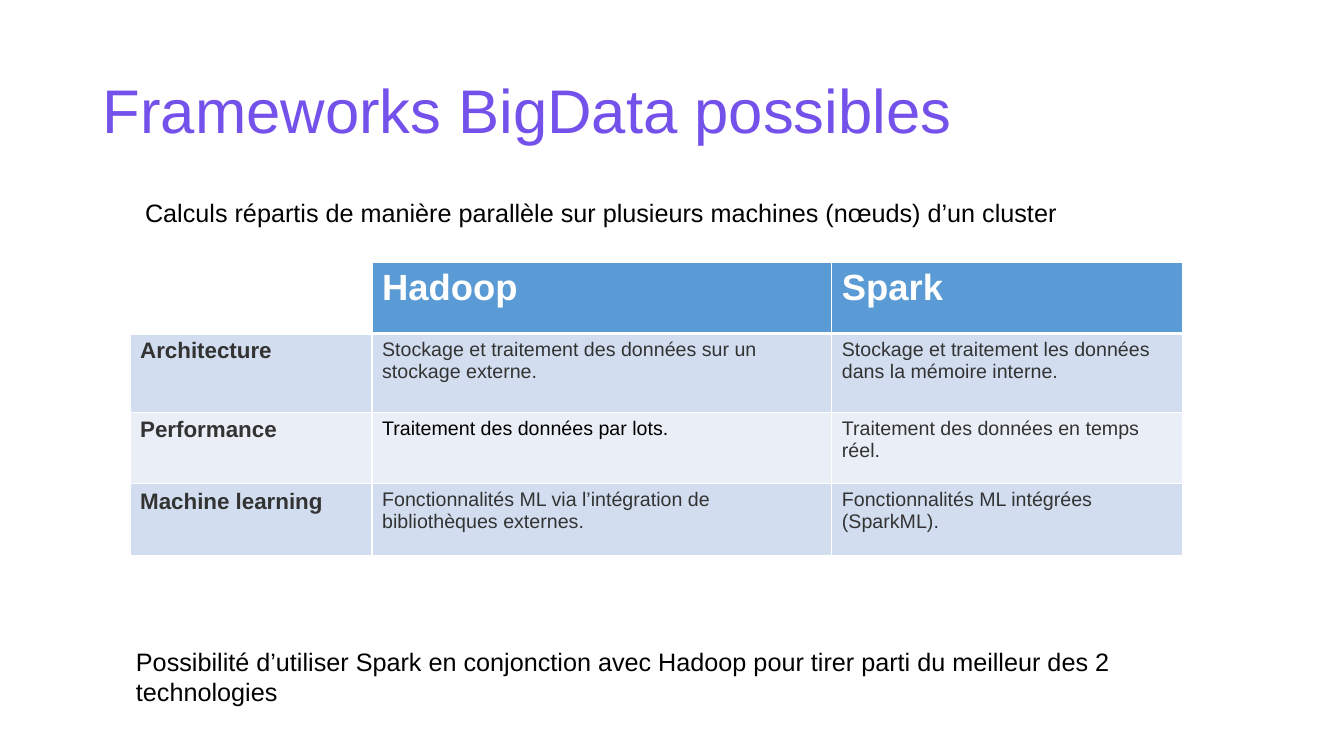
from lxml.etree import SubElement
from pptx import Presentation
from pptx.dml.color import RGBColor
from pptx.enum.text import MSO_ANCHOR as Anchor
from pptx.oxml.ns import qn
from pptx.util import Inches, Pt

# Content
TITLE = "Frameworks BigData possibles"
INTRO = "Calculs répartis de manière parallèle sur plusieurs machines (nœuds) d’un cluster"
CONCLUSION = ("Possibilité d’utiliser Spark en conjonction avec Hadoop "
              "pour tirer parti du meilleur des 2 technologies")
COMPARISON = [
    ("", "Hadoop", "Spark"),
    ("Architecture",
     "Stockage et traitement des données sur un stockage externe.",
     "Stockage et traitement les données dans la mémoire interne."),
    ("Performance",
     "Traitement des données par lots.",
     "Traitement des données en temps réel."),
    ("Machine learning",
     "Fonctionnalités ML via l’intégration de bibliothèques externes.",
     "Fonctionnalités ML intégrées (SparkML)."),
]
BLACK_CELL = (2, 1)

# Layout, in inches
TITLE_BOX = (0.92, 0.4, 11.5, 1.45)
INTRO_BOX = (1.34, 1.91, 10.78, 0.4)
CONCLUSION_BOX = (1.25, 6.36, 10.68, 0.7)
TABLE_ORIGIN = (1.29, 2.6)
COLUMN_WIDTHS = (2.4, 4.56, 3.48)
ROW_HEIGHTS = (0.71, 0.78, 0.71, 0.71)


class Theme:
    font = "Arial"
    title, text, white = "7451EB", "000000", "FFFFFF"
    cell_text, header = "333333", "5B9BD5"
    bands = ("EAEFF7", "D2DEEF")
    title_size, body_size = 44, 18
    header_size, label_size, cell_size = 26, 16, 14
    thin, thick = 1, 3


def style(paragraph, size, color, bold=False):
    font = paragraph.font
    font.name, font.size, font.bold = Theme.font, Pt(size), bold
    font.color.rgb = RGBColor.from_string(color)


def add_text(slide, text, box, size, color, anchor=Anchor.TOP, spacing=None):
    frame = slide.shapes.add_textbox(*map(Inches, box)).text_frame
    frame.word_wrap = True
    frame.vertical_anchor = anchor
    paragraph = frame.paragraphs[0]
    paragraph.text = text
    paragraph.line_spacing = spacing
    style(paragraph, size, color)


def set_borders(cell, top, bottom):
    properties = cell._tc.get_or_add_tcPr()
    widths = {"L": Theme.thin, "R": Theme.thin, "T": top, "B": bottom}
    for position, (side, width) in enumerate(widths.items()):
        line = SubElement(properties, qn(f"a:ln{side}"), w=str(Pt(width)))
        fill = SubElement(line, qn("a:solidFill"))
        SubElement(fill, qn("a:srgbClr"), val=Theme.white)
        properties.insert(position, line)  # borders come before the fill


def cell_look(row, column):
    """Return fill, text size, text colour and bold for a table cell."""
    if row == 0:
        fill = Theme.header if column else Theme.white
        return fill, Theme.header_size, Theme.white, True
    color = Theme.text if (row, column) == BLACK_CELL else Theme.cell_text
    size = Theme.cell_size if column else Theme.label_size
    return Theme.bands[row % 2], size, color, column == 0


def add_comparison(slide):
    table = slide.shapes.add_table(
        len(ROW_HEIGHTS), len(COLUMN_WIDTHS), *map(Inches, TABLE_ORIGIN),
        Inches(sum(COLUMN_WIDTHS)), Inches(sum(ROW_HEIGHTS))).table
    for column, width in zip(table.columns, COLUMN_WIDTHS):
        column.width = Inches(width)
    for row, height in zip(table.rows, ROW_HEIGHTS):
        row.height = Inches(height)
    for r, texts in enumerate(COMPARISON):
        for c, text in enumerate(texts):
            fill, size, color, bold = cell_look(r, c)
            cell = table.cell(r, c)
            cell.text = text
            style(cell.text_frame.paragraphs[0], size, color, bold)
            cell.fill.solid()
            cell.fill.fore_color.rgb = RGBColor.from_string(fill)
            set_borders(cell, top=Theme.thick if r == 1 else Theme.thin,
                        bottom=Theme.thick if r == 0 else Theme.thin)


def main():
    presentation = Presentation()
    presentation.slide_width, presentation.slide_height = Inches(13.33), Inches(7.5)
    slide = presentation.slides.add_slide(presentation.slide_layouts[6])

    # Title, table and the two sentences around it
    add_text(slide, TITLE, TITLE_BOX, Theme.title_size, Theme.title, Anchor.MIDDLE, 0.9)
    add_comparison(slide)
    add_text(slide, CONCLUSION, CONCLUSION_BOX, Theme.body_size, Theme.text)
    add_text(slide, INTRO, INTRO_BOX, Theme.body_size, Theme.text)
    presentation.save("out.pptx")


if __name__ == "__main__":
    main()
